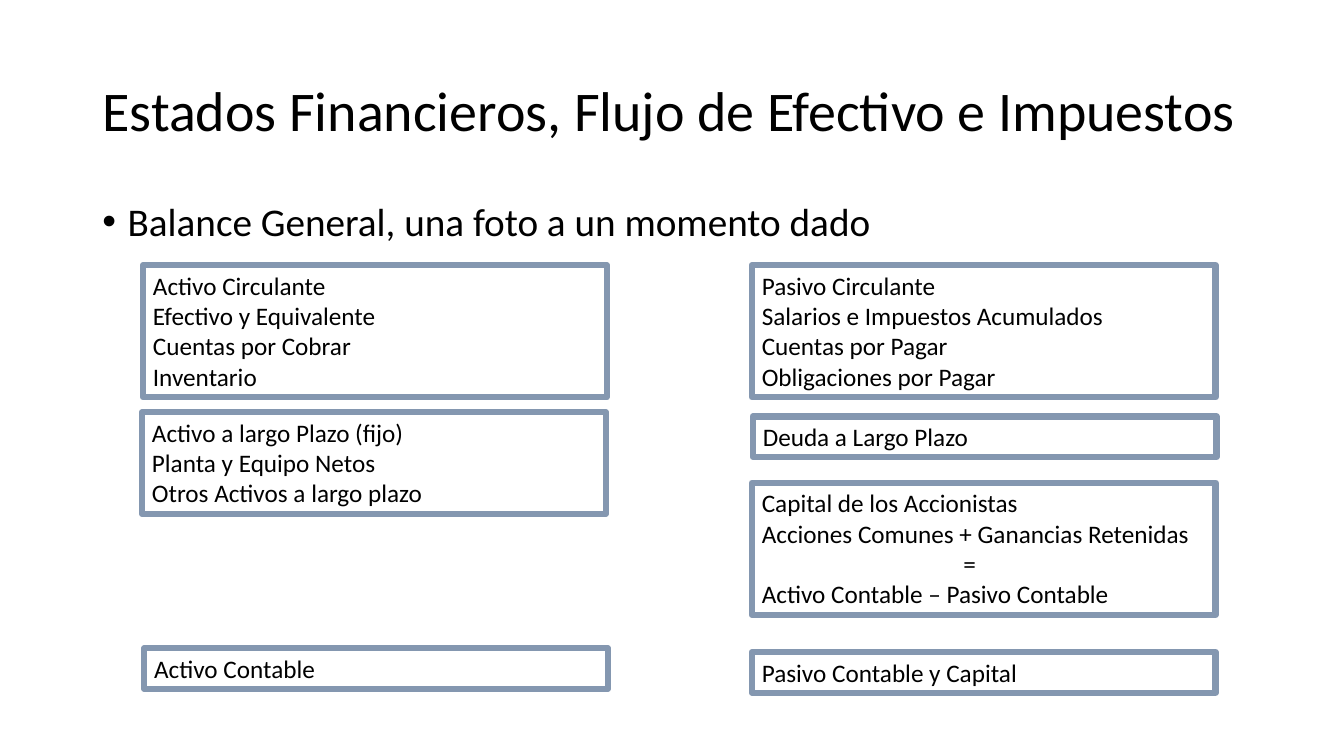
"""Build a slide with the parts of a balance sheet."""
from lxml import etree
from pptx import Presentation
from pptx.dml.color import RGBColor
from pptx.enum.text import MSO_ANCHOR, MSO_AUTO_SIZE, PP_ALIGN
from pptx.oxml.ns import qn
from pptx.util import Pt

LEFT = PP_ALIGN.LEFT
TOP, MIDDLE = MSO_ANCHOR.TOP, MSO_ANCHOR.MIDDLE
FIXED, GROW = MSO_AUTO_SIZE.NONE, MSO_AUTO_SIZE.SHAPE_TO_FIT_TEXT
BLACK = RGBColor(0x00, 0x00, 0x00)
STEEL = RGBColor(0x84, 0x97, 0xB0)

WIDE = 331.2
LINE = 21.8
PAD = 7.2
TAB = 144

BOXES = [
    (102.2, 189.4, ["Activo Circulante", "Efectivo y Equivalente",
                    "Cuentas por Cobrar", "Inventario"]),
    (101.5, 294.5, ["Activo a largo Plazo (fijo)", "Planta y Equipo Netos",
                    "Otros Activos a largo plazo"]),
    (103, 463, ["Activo Contable"]),
    (537.1, 189.4, ["Pasivo Circulante", "Salarios e Impuestos Acumulados",
                    "Cuentas por Pagar", "Obligaciones por Pagar"]),
    (537.8, 297.4, ["Deuda a Largo Plazo"]),
    (537.1, 344.9, ["Capital de los Accionistas",
                    "Acciones Comunes + Ganancias Retenidas", "=",
                    "Activo Contable – Pasivo Contable"]),
    (537.1, 465.8, ["Pasivo Contable y Capital"]),
]


class Deck:
    """Hold the style and the current slide."""

    def __init__(self, show):
        self.slide = show.slides.add_slide(show.slide_layouts[1])
        self.face = "Calibri"

    def apply(self, item, form):
        for key, value in form.items():
            setattr(item, key, value)

    def place(self, shape, left, top, width, height):
        self.apply(shape, {"left": Pt(left), "top": Pt(top),
                           "width": Pt(width), "height": Pt(height)})

    def fill(self, shape, lines, size, frame, space):
        text = shape.text_frame
        text.text = "\n".join(lines)
        self.apply(text, {"word_wrap": True, **frame})
        for para in text.paragraphs:
            self.apply(para, {"alignment": LEFT, "line_spacing": space,
                              "space_before": Pt(0)})
            if shape.is_placeholder and shape != self.slide.shapes.title:
                self.bullet(para)
            self.apply(para.font, {"name": self.face, "size": Pt(size)})
            para.font.color.rgb = BLACK
        return text.paragraphs

    def bullet(self, para):
        props = para._p.get_or_add_pPr()
        props.set("marL", str(Pt(18)))
        props.set("indent", str(Pt(-18)))
        etree.SubElement(props, qn("a:buChar"), char="•")

    def title(self, words):
        shape = self.slide.shapes.title
        self.place(shape, 66, 28.8, 828, 104.4)
        self.fill(shape, [words], 40,
                  {"vertical_anchor": MIDDLE, "auto_size": FIXED}, 0.9)

    def list(self, lines):
        shape = self.slide.placeholders[1]
        self.place(shape, 66, 144, 828, 34.6)
        self.fill(shape, lines, 28,
                  {"vertical_anchor": TOP, "auto_size": FIXED}, 0.8)

    def box(self, left, top, lines):
        shape = self.slide.shapes.add_textbox(
            Pt(left), Pt(top), Pt(WIDE), Pt(PAD + LINE * len(lines)))
        shape.line.width = Pt(4.5)
        shape.line.color.rgb = STEEL
        frame = {"vertical_anchor": TOP, "auto_size": GROW}
        for para in self.fill(shape, lines, 18, frame, 1.0):
            if para.text == "=":
                para._p.get_or_add_pPr().set("marL", str(Pt(TAB)))


def main():
    show = Presentation()
    show.slide_width, show.slide_height = Pt(960), Pt(540)
    deck = Deck(show)
    deck.title("Estados Financieros, Flujo de Efectivo e Impuestos")
    deck.list(["Balance General, una foto a un momento dado"])
    for left, top, lines in BOXES:
        deck.box(left, top, lines)
    show.save("out.pptx")


if __name__ == "__main__":
    main()
